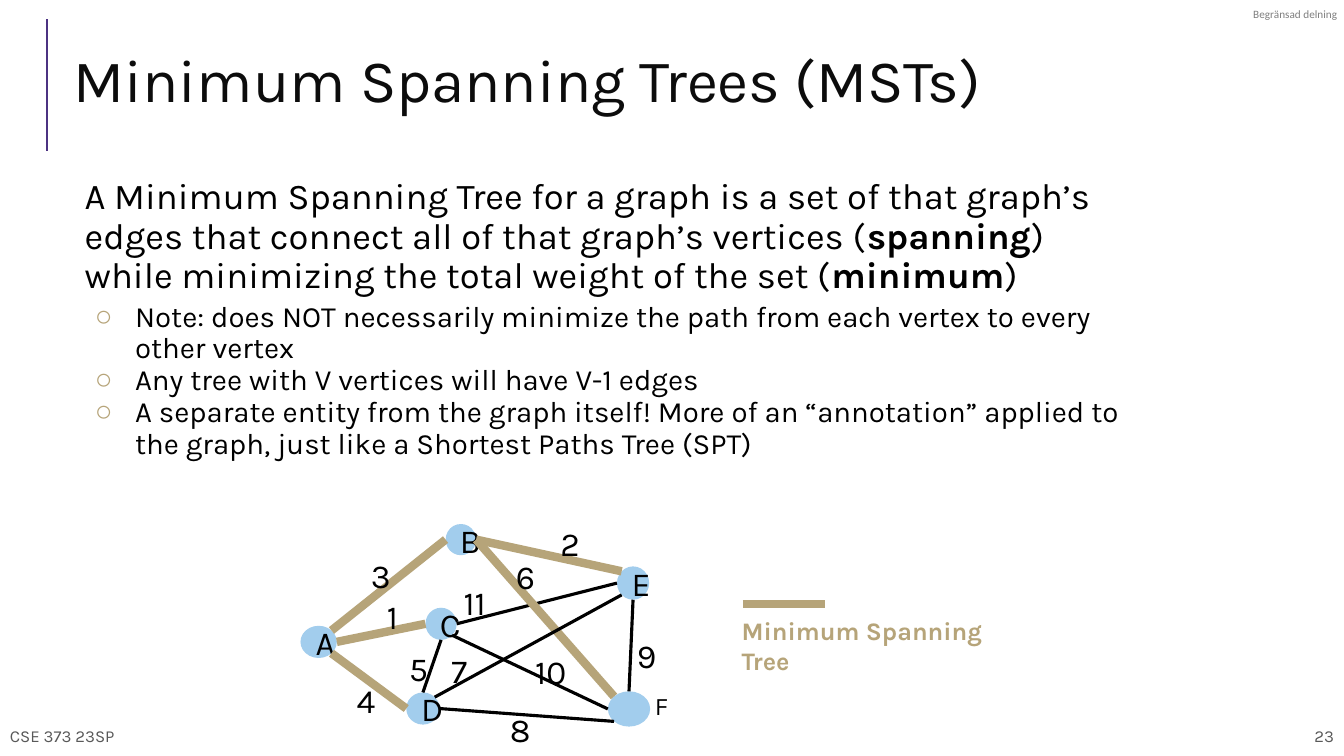
import math
from collections import namedtuple
from dataclasses import dataclass

from lxml import etree
from pptx import Presentation
from pptx.dml.color import RGBColor
from pptx.enum.shapes import MSO_CONNECTOR, MSO_SHAPE
from pptx.enum.text import MSO_ANCHOR, MSO_AUTO_SIZE, PP_ALIGN
from pptx.oxml.ns import qn
from pptx.util import Pt

LINE, OVAL = MSO_CONNECTOR.STRAIGHT, MSO_SHAPE.OVAL
TOP, MIDDLE = MSO_ANCHOR.TOP, MSO_ANCHOR.MIDDLE
LEFT, CENTER, RIGHT = PP_ALIGN.LEFT, PP_ALIGN.CENTER, PP_ALIGN.RIGHT

Box = namedtuple("Box", "x y w h")


@dataclass(frozen=True)
class Theme:
    font: str = "Karla"
    tag_font: str = "Calibri"
    ink: str = "000000"
    title: str = "0C0C0C"
    footer: str = "595959"
    tag: str = "7F7F7F"
    rule: str = "4C3282"
    gold: str = "B6A479"
    node: str = "A2CDED"
    title_size: float = 43
    lead_size: float = 26
    bullet_size: float = 21
    graph_size: float = 24
    small_size: float = 18
    footer_size: float = 12
    tag_size: float = 8
    tree_width: float = 6
    edge_width: float = 2.25
    rule_width: float = 1.5


T = Theme()

LEAD = [
    ("A Minimum Spanning Tree for a graph is a set of that graph’s edges "
     "that connect all of that graph’s vertices (", False),
    ("spanning", True),
    (") while minimizing the total weight of the set (", False),
    ("minimum", True),
    (")", False),
]
BULLETS = [
    "Note: does NOT necessarily minimize the path from each vertex to every other vertex",
    "Any tree with V vertices will have V-1 edges",
    "A separate entity from the graph itself! More of an “annotation” applied to "
    "the graph, just like a Shortest Paths Tree (SPT)",
]

# Boxes and label positions are relative to the graph's box
NODES = {
    "A": Box(0, 77, 26, 23),
    "B": Box(103.7, 4.3, 21.8, 22.3),
    "D": Box(75.6, 124.6, 23.8, 23),
    "F": Box(219.6, 123.8, 30.2, 25.2),
    "E": Box(226.1, 34.6, 23, 23.8),
    "C": Box(89.3, 64.1, 22.3, 23),
}
# Node, site, node, site, in the tree; sites run anticlockwise from 0 at the top
EDGES = [
    ("B", 2, "A", 7, True), ("A", 5, "D", 2, True), ("D", 0, "C", 4, False),
    ("C", 2, "A", 6, True), ("C", 6, "E", 2, False), ("E", 4, "F", 0, False),
    ("F", 3, "D", 6, False), ("F", 1, "B", 6, True), ("E", 3, "D", 7, False),
    ("C", 5, "F", 2, False), ("E", 1, "B", 6, True),
]
WEIGHTS = [
    ("3", 43.2, 23), ("6", 146.9, 23.8), ("11", 109.4, 41.8), ("1", 54.7, 51.8),
    ("4", 33.1, 112.3), ("5", 70.6, 89.3), ("8", 142.6, 132.5), ("9", 233.3, 79.9),
    ("10", 160.6, 91.4), ("7", 100.8, 90.7), ("2", 178.6, 0),
]


def set_font(font, size, color, bold=False, name=T.font):
    for key, value in dict(name=name, size=Pt(size), bold=bold).items():
        setattr(font, key, value)
    font.color.rgb = RGBColor.from_string(color)


def place(sp, box):
    for key, value in zip(("left", "top", "width", "height"), box):
        setattr(sp, key, Pt(value))


def set_frame(tf, inset=(7.2, 3.6), anchor=TOP):
    dx, dy = map(Pt, inset)
    frame = dict(margin_left=dx, margin_right=dx, margin_top=dy, margin_bottom=dy,
                 word_wrap=True, auto_size=MSO_AUTO_SIZE.NONE, vertical_anchor=anchor)
    for key, value in frame.items():
        setattr(tf, key, value)


def write(tf, text, size, color, align=LEFT, **font):
    p = tf.paragraphs[0]
    p.alignment = align
    r = p.add_run()
    r.text = text
    set_font(r.font, size, color, **font)


def add_label(slide, box, text, size, color, inset=(7.2, 3.6), anchor=TOP, **style):
    sp = slide.shapes.add_textbox(*map(Pt, box))
    set_frame(sp.text_frame, inset, anchor)
    write(sp.text_frame, text, size, color, **style)


def add_line(slide, start, end, color, width):
    sp = slide.shapes.add_connector(LINE, *map(Pt, (*start, *end)))
    sp.line.color.rgb = RGBColor.from_string(color)
    sp.line.width = Pt(width)
    etree.SubElement(sp._element.spPr, qn("a:effectLst"))


def set_bullet(p, margin, indent, char=None):
    pPr = p._p.get_or_add_pPr()
    pPr.set("marL", str(Pt(margin)))
    pPr.set("indent", str(Pt(indent)))
    if char is None:
        etree.SubElement(pPr, qn("a:buNone"))
        return
    color = etree.SubElement(pPr, qn("a:buClr"))
    etree.SubElement(color, qn("a:srgbClr"), val=T.gold)
    etree.SubElement(pPr, qn("a:buChar"), char=char)


def add_title(slide, box):
    sp = slide.shapes.title
    place(sp, box)
    set_frame(sp.text_frame, anchor=MIDDLE)
    write(sp.text_frame, "Minimum Spanning Trees (MSTs)", T.title_size, T.title)
    sp.text_frame.paragraphs[0].line_spacing = 0.8
    x = box.x - 11.5
    add_line(slide, (x, box.y - 7), (x, box.y + box.h + 7), T.rule, T.rule_width)


def add_body(slide, box):
    sp = slide.placeholders[1]
    place(sp, box)
    tf = sp.text_frame
    set_frame(tf, (3.6, 3.6))
    paragraphs = [(LEAD, T.lead_size)] + [([(b, False)], T.bullet_size) for b in BULLETS]
    for i, (runs, size) in enumerate(paragraphs):
        p = tf.add_paragraph() if i else tf.paragraphs[0]
        if i:
            p.level = 1
            set_bullet(p, 72, -28.8, "○")
        else:
            set_bullet(p, 36, 0)
        spacing = dict(alignment=LEFT, line_spacing=0.9, space_after=Pt(0),
                       space_before=Pt(4 if i == 1 else 0))
        for key, value in spacing.items():
            setattr(p, key, value)
        for text, bold in runs:
            r = p.add_run()
            r.text = text
            set_font(r.font, size, T.ink, bold)


def site_point(node, site):
    angle = math.radians(45 * site)
    return (node.x + node.w / 2 * (1 - math.sin(angle)),
            node.y + node.h / 2 * (1 - math.cos(angle)))


def add_graph(slide, box):
    nodes = {k: Box(box.x + n.x, box.y + n.y, n.w, n.h) for k, n in NODES.items()}
    for name, node in nodes.items():
        sp = slide.shapes.add_shape(OVAL, *map(Pt, node))
        sp.shadow.inherit = False
        sp.fill.solid()
        sp.fill.fore_color.rgb = RGBColor.from_string(T.node)
        sp.line.fill.background()
        if name != "F":
            set_frame(sp.text_frame, anchor=MIDDLE)
            write(sp.text_frame, name, T.graph_size, T.ink, CENTER)
    for a, site_a, b, site_b, in_tree in EDGES:
        style = (T.gold, T.tree_width) if in_tree else (T.ink, T.edge_width)
        add_line(slide, site_point(nodes[a], site_a), site_point(nodes[b], site_b), *style)
    for text, x, y in WEIGHTS:
        width = 20 if len(text) == 1 else 48
        add_label(slide, (box.x + x, box.y + y, width, 36.7), text, T.graph_size, T.ink)
    f = nodes["F"]
    add_label(slide, (f.x + 26.6, f.y - 4.3, 19, 29), "F", T.small_size, T.ink)


def add_legend(slide, box):
    add_line(slide, (box.x + 8, box.y), (box.x + 66.3, box.y), T.gold, T.tree_width)
    add_label(slide, (box.x, box.y + 4.3, box.w, box.h - 4.3), "Minimum Spanning Tree",
              T.small_size, T.gold, bold=True)


def add_margins(slide, box):
    """Places the course, the page number and the sharing tag at the slide's edges."""
    w, h, y = 337, 28.8, box.h - 28.8
    for x, text, align in ((0, "CSE 373 23SP", LEFT), (box.w - w, "23", RIGHT)):
        add_label(slide, (x, y, w, h), text, T.footer_size, T.footer,
                  (7.2, 7.2), MIDDLE, align=align)
    add_label(slide, (box.w - 64.8, 5, 64.8, 9.5), "Begränsad delning", T.tag_size,
              T.tag, (0, 0), name=T.tag_font)


def main():
    prs = Presentation()
    prs.slide_width, prs.slide_height = Pt(960), Pt(540)
    slide = prs.slides.add_slide(prs.slide_layouts[1])
    add_margins(slide, Box(0, 0, 960, 540))
    add_title(slide, Box(45.4, 20.9, 880.6, 79.9))
    add_body(slide, Box(20.9, 123.8, 792, 366.5))
    add_graph(slide, Box(214.6, 370, 265, 169))
    add_legend(slide, Box(522.7, 431.3, 198.7, 55.4))
    prs.save("out.pptx")


if __name__ == "__main__":
    main()
